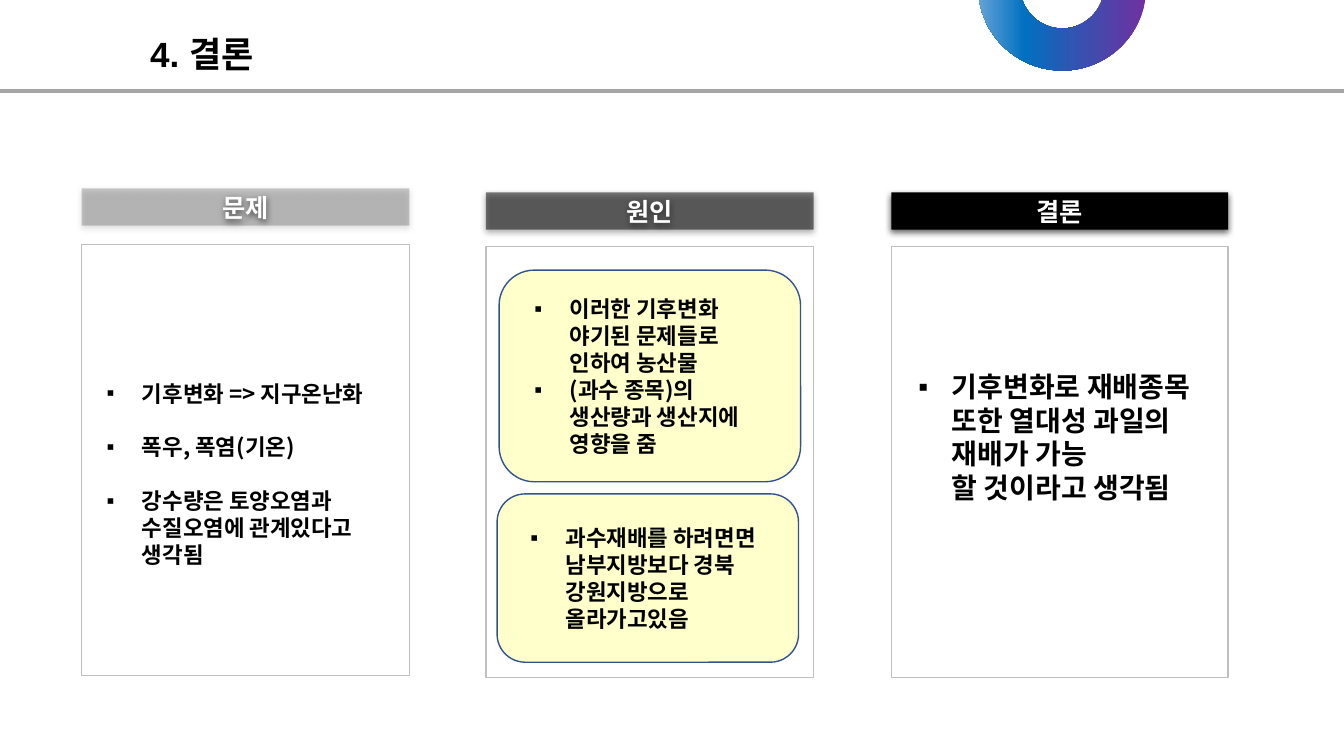
import pptx
import pptx.dml.color
import pptx.enum.dml
import pptx.enum.shapes
import pptx.enum.text
import pptx.oxml
import pptx.oxml.ns
import pptx.util
from lxml import etree

RGBColor = pptx.dml.color.RGBColor
Inches = pptx.util.Inches
Pt = pptx.util.Pt
SHAPE = pptx.enum.shapes.MSO_SHAPE
ALIGN = pptx.enum.text.PP_ALIGN
ANCHOR = pptx.enum.text.MSO_ANCHOR
qn = pptx.oxml.ns.qn

BLACK = RGBColor(0x00, 0x00, 0x00)
WHITE = RGBColor(0xFF, 0xFF, 0xFF)
YELLOW = RGBColor(0xFF, 0xFF, 0x00)
NAVY = RGBColor(0x31, 0x53, 0x8F)
RULE_GRAY = RGBColor(0xA5, 0xA5, 0xA5)
PANEL_GRAY = RGBColor(0xBF, 0xBF, 0xBF)
RING_STOPS = [
    (0, RGBColor(0x70, 0x30, 0xA0)),
    (38, RGBColor(0x38, 0x50, 0xB0)),
    (72, RGBColor(0x00, 0x70, 0xC0)),
    (100, RGBColor(0x64, 0xA3, 0xD7)),
]
LATIN, KOREAN = "Arial", "Noto Sans CJK KR"
LINE_PITCH = 1.2

TITLE = "4. 결론"
PROBLEMS = ["기후변화 => 지구온난화", "폭우, 폭염(기온)", "강수량은 토양오염과 수질오염에 관계있다고 생각됨"]
CAUSES = ["이러한 기후변화 야기된 문제들로 인하여 농산물", "(과수 종목)의 생산량과 생산지에 영향을 줌"]
MOVES = ["과수재배를 하려면면 남부지방보다 경북 강원지방으로 올라가고있음"]
# A line break inside an item starts a line under the same bullet.
CONCLUSION = ["기후변화로 재배종목 또한 열대성 과일의 재배가 가능\v할 것이라고 생각됨"]

# Header text, opacity in percent, left, header top, panel top, width
COLUMNS = [
    ("문제", 20, 0.81, 1.87, 2.43, 3.25),
    ("원인", 50, 4.82, 1.91, 2.45, 3.25),
    ("결론", 100, 8.84, 1.91, 2.45, 3.34),
]
HEADER_HEIGHT, PANEL_HEIGHT = 0.37, 4.27
# Items, left, top, width, height
CARDS = [
    (CAUSES, 4.95, 2.68, 2.99, 2.1),
    (MOVES, 4.93, 4.9, 2.99, 1.67),
]


def format_runs(paragraph, size, color, latin):
    for run in paragraph.runs:
        run.font.size = Pt(size)
        run.font.bold = True
        run.font.color.rgb = color
        run.font.name = latin
        east_asian = etree.Element(qn("a:ea"), typeface=KOREAN)
        run.font._element.find(qn("a:latin")).addnext(east_asian)


def add_box(slide, kind, place, fill, opacity=100, line=None, line_width=0.75):
    shape = slide.shapes.add_shape(kind, *(Inches(length) for length in place))
    shape.shadow.inherit = False
    shape.fill.solid()
    shape.fill.fore_color.rgb = fill
    if opacity < 100:
        color = shape.fill._xPr.find(qn("a:solidFill"))[0]
        etree.SubElement(color, qn("a:alpha"), val=str(opacity * 1000))
    if line is None:
        shape.line.fill.background()
    else:
        shape.line.color.rgb = line
        shape.line.width = Pt(line_width)
    return shape


def add_drop_shadow(shape):
    effects = shape._element.spPr.find(qn("a:effectLst"))
    shadow = etree.SubElement(
        effects, qn("a:outerShdw"), blurRad=str(Pt(4.5)), dist=str(Pt(1.5)),
        dir="5400000", algn="t", rotWithShape="0")
    color = etree.SubElement(shadow, qn("a:srgbClr"), val=str(BLACK))
    etree.SubElement(color, qn("a:alpha"), val="62000")


def write_list(shape, items, size, hanging, gap=0):
    """Fill a shape with square-bulleted items, indented half an inch."""
    frame = shape.text_frame
    frame.word_wrap = True
    frame.vertical_anchor = ANCHOR.MIDDLE
    for index, item in enumerate(items):
        paragraph = frame.add_paragraph() if index else frame.paragraphs[0]
        paragraph.text = item
        properties = paragraph._element.get_or_add_pPr()
        properties.set("marL", str(Inches(0.5)))
        properties.set("indent", str(-Inches(hanging)))
        bullet_color = etree.SubElement(properties, qn("a:buClr"))
        etree.SubElement(bullet_color, qn("a:srgbClr"), val=str(BLACK))
        etree.SubElement(properties, qn("a:buFont"), typeface=LATIN)
        etree.SubElement(properties, qn("a:buChar"), char="▪")
        paragraph.alignment = ALIGN.LEFT
        paragraph.line_spacing = Pt(size * LINE_PITCH)
        if index and gap:
            paragraph.space_before = Pt(gap)
        format_runs(paragraph, size, BLACK, KOREAN)


def add_title(slide):
    title = slide.shapes.title
    title.left, title.top = Inches(1.39), Inches(0.27)
    title.width, title.height = Inches(4.7), Inches(0.52)
    frame = title.text_frame
    frame.text = TITLE
    frame.auto_size = pptx.enum.text.MSO_AUTO_SIZE.NONE
    frame.vertical_anchor = ANCHOR.MIDDLE
    frame.paragraphs[0].alignment = ALIGN.LEFT
    format_runs(frame.paragraphs[0], 25, BLACK, LATIN)


def add_column(slide, heading, opacity, left, header_top, panel_top, width):
    header = add_box(slide, SHAPE.RECTANGLE, (left, header_top, width, HEADER_HEIGHT), BLACK, opacity)
    add_drop_shadow(header)
    header.text_frame.text = heading
    header.text_frame.vertical_anchor = ANCHOR.MIDDLE
    header.text_frame.paragraphs[0].alignment = ALIGN.CENTER
    format_runs(header.text_frame.paragraphs[0], 18, WHITE, LATIN)
    return add_box(slide, SHAPE.RECTANGLE, (left, panel_top, width, PANEL_HEIGHT), WHITE, line=PANEL_GRAY)


def add_ring(slide):
    ring = add_box(slide, SHAPE.DONUT, (9.7, -0.97, 1.67, 1.67), WHITE)
    ring.adjustments[0] = 0.25
    ring.fill.gradient()
    ring.fill.gradient_angle = 180
    stops = ring._element.spPr.find(qn("a:gradFill")).find(qn("a:gsLst"))
    for stop in list(stops):
        stops.remove(stop)
    for position, color in RING_STOPS:
        stop = etree.SubElement(stops, qn("a:gs"), pos=str(position * 1000))
        etree.SubElement(stop, qn("a:srgbClr"), val=str(color))


def add_rule(slide, slide_width):
    rule = slide.shapes.add_connector(
        pptx.enum.shapes.MSO_CONNECTOR.STRAIGHT, 0, Inches(0.9), slide_width, Inches(0.9))
    rule.line.color.rgb = RULE_GRAY
    rule.line.width = Pt(3)
    etree.SubElement(rule._element.spPr, qn("a:effectLst"))


def main():
    presentation = pptx.Presentation()
    presentation.slide_width, presentation.slide_height = Inches(13.33), Inches(7.5)
    slide = presentation.slides.add_slide(presentation.slide_layouts.get_by_name("Title Only"))
    add_title(slide)
    problem_panel, _, conclusion_panel = [add_column(slide, *column) for column in COLUMNS]
    problem_panel.text_frame.margin_top = Inches(0.32)
    write_list(problem_panel, PROBLEMS, 16, 0.35, gap=16 * LINE_PITCH)
    conclusion_panel.text_frame.margin_bottom = Inches(0.55)
    write_list(conclusion_panel, CONCLUSION, 20, 0.33)
    add_ring(slide)
    add_rule(slide, presentation.slide_width)
    for items, *place in CARDS:
        card = add_box(slide, SHAPE.ROUNDED_RECTANGLE, place, YELLOW, 20, NAVY, 1)
        write_list(card, items, 16, 0.35)
    presentation.save("out.pptx")


if __name__ == "__main__":
    main()
